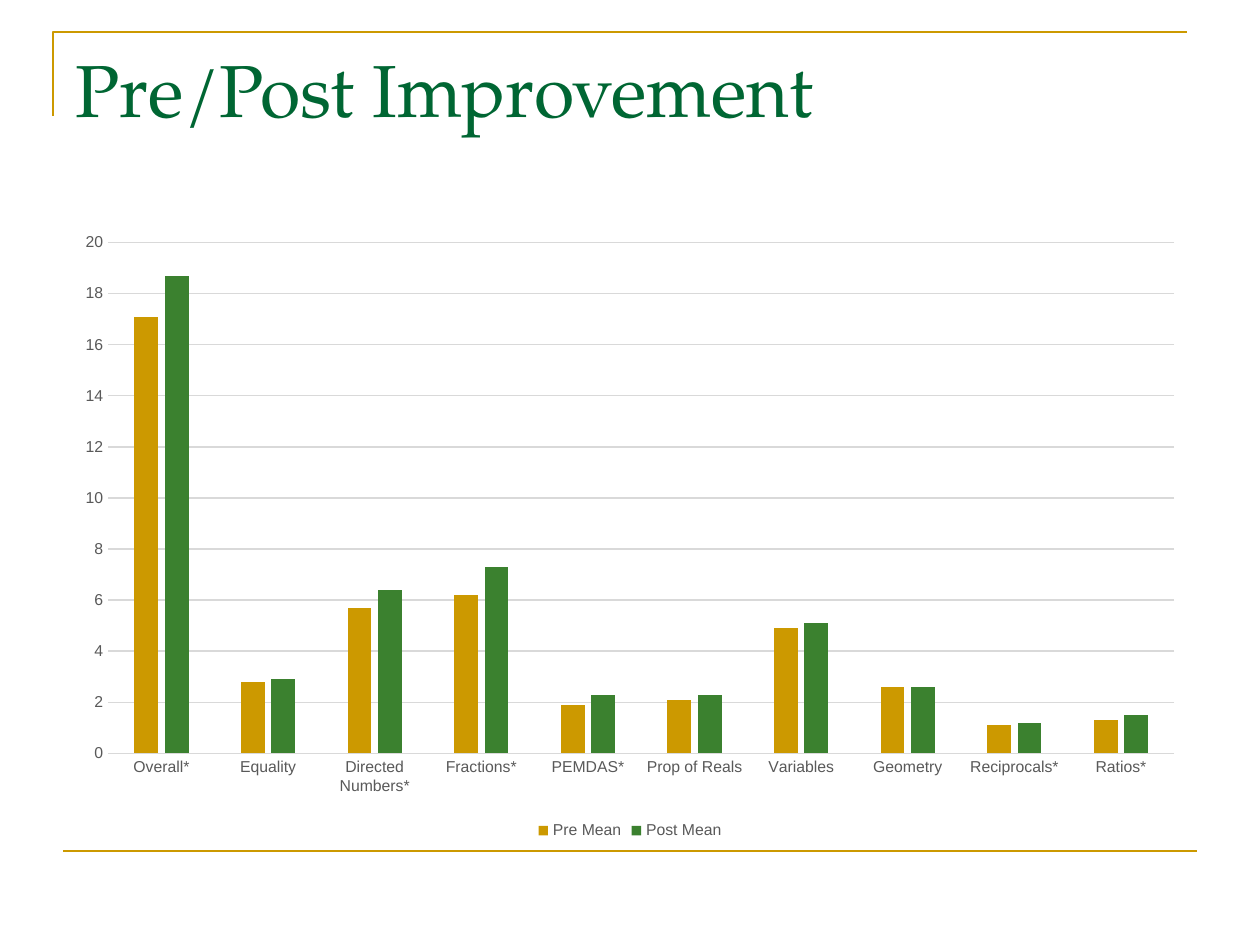
from lxml.etree import SubElement
from pptx import Presentation
from pptx.chart.data import CategoryChartData
from pptx.dml.color import RGBColor
from pptx.enum.chart import XL_CHART_TYPE, XL_LEGEND_POSITION, XL_TICK_MARK
from pptx.enum.shapes import MSO_CONNECTOR
from pptx.enum.text import MSO_ANCHOR, PP_ALIGN
from pptx.oxml.ns import qn
from pptx.util import Emu, Pt

EMU_PER_PX = 914400 / 126

GOLD, GREEN, TITLE_GREEN = "CC9900", "3B812F", "006633"
GRAY, LIGHT_GRAY = "595959", "D9D9D9"

CATEGORIES = ["Overall*", "Equality", "Directed Numbers*", "Fractions*", "PEMDAS*",
              "Prop of Reals", "Variables", "Geometry", "Reciprocals*", "Ratios*"]
SERIES = [
    ("Pre Mean", GOLD, [17.1, 2.8, 5.7, 6.2, 1.9, 2.1, 4.9, 2.6, 1.1, 1.3]),
    ("Post Mean", GREEN, [18.7, 2.9, 6.4, 7.3, 2.3, 2.3, 5.1, 2.6, 1.2, 1.5]),
]


def px(n):
    return Emu(round(n * EMU_PER_PX))


def color(hex_string):
    return RGBColor.from_string(hex_string)


def style_font(font, name, size, hex_string):
    font.name = name
    font.size = Pt(size)
    font.color.rgb = color(hex_string)


def style_line(line, hex_string, width):
    line.color.rgb = color(hex_string)
    line.width = Pt(width)


def add_corner(s, points):
    fb = s.shapes.build_freeform(*points[0], scale=EMU_PER_PX)
    fb.add_line_segments(points[1:], close=False)
    sp = fb.convert_to_shape()
    sp.shadow.inherit = False
    sp.fill.background()
    style_line(sp.line, GOLD, 1.5)


def add_rule(s, x1, x2, y):
    cxn = s.shapes.add_connector(MSO_CONNECTOR.STRAIGHT, px(x1), px(y), px(x2), px(y))
    style_line(cxn.line, GOLD, 1.5)
    SubElement(cxn._element.spPr, qn("a:effectLst"))


def set_title(s, text, x, y, w, h):
    sp = s.shapes.title
    sp.left, sp.top, sp.width, sp.height = px(x), px(y), px(w), px(h)
    tf = sp.text_frame
    tf.text = text
    tf.word_wrap = True
    tf.vertical_anchor = MSO_ANCHOR.TOP
    p = tf.paragraphs[0]
    p.alignment = PP_ALIGN.LEFT
    style_font(p.font, "TeX Gyre Pagella", 42, TITLE_GREEN)


def style_axis(axis):
    axis.major_tick_mark = axis.minor_tick_mark = XL_TICK_MARK.NONE
    style_font(axis.tick_labels.font, "Arial", 9, GRAY)


def add_column_chart(s, x, y, w, h):
    data = CategoryChartData()
    data.categories = CATEGORIES
    for name, _, values in SERIES:
        data.add_series(name, values)
    chart = s.shapes.add_chart(XL_CHART_TYPE.COLUMN_CLUSTERED,
                               px(x), px(y), px(w), px(h), data).chart
    chart.has_title = False
    style_font(chart.font, "Arial", 10, "000000")

    # Columns
    plot = chart.plots[0]
    plot.vary_by_categories = False
    plot.gap_width, plot.overlap = 219, -27
    for series, (_, fill, _) in zip(plot.series, SERIES):
        series.format.fill.solid()
        series.format.fill.fore_color.rgb = color(fill)

    # Axes
    style_axis(chart.category_axis)
    style_line(chart.category_axis.format.line, LIGHT_GRAY, 0.75)
    value_axis = chart.value_axis
    style_axis(value_axis)
    value_axis.minimum_scale, value_axis.maximum_scale = 0, 20
    value_axis.major_unit = 2
    value_axis.format.line.fill.background()
    style_line(value_axis.major_gridlines.format.line, LIGHT_GRAY, 0.75)

    # Legend
    chart.has_legend = True
    chart.legend.position = XL_LEGEND_POSITION.BOTTOM
    chart.legend.include_in_layout = False
    style_font(chart.legend.font, "Arial", 9, GRAY)


def main():
    prs = Presentation()
    prs.slide_width, prs.slide_height = px(1260), px(945)
    s = prs.slides.add_slide(prs.slide_layouts[5])
    s.background.fill.solid()
    s.background.fill.fore_color.rgb = color("FFFFFF")

    # Frame lines
    add_corner(s, [(53, 116), (53, 32), (1187, 32)])
    add_rule(s, 63, 1197, 851)

    # Content
    set_title(s, "Pre/Post Improvement", 63, 38, 1134, 158)
    add_column_chart(s, 63, 221, 1134, 624)

    prs.save("out.pptx")


if __name__ == "__main__":
    main()
